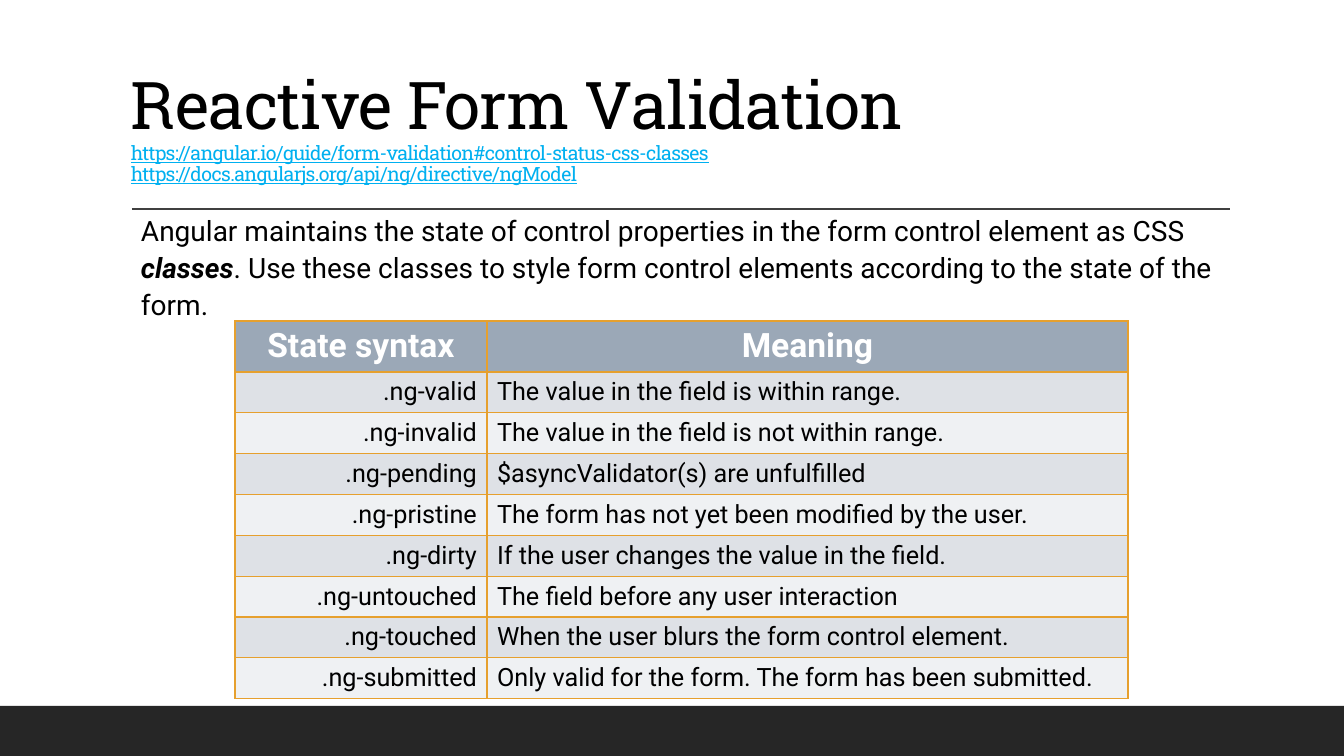
"""Build the Reactive Form Validation slide with its table of CSS state classes."""
import pptx
import pptx.dml.color
import pptx.enum.shapes
import pptx.enum.text
import pptx.oxml
import pptx.oxml.ns
import pptx.util
from dataclasses import dataclass

TITLE = "Reactive Form Validation"
LINKS = [
    "https://angular.io/guide/form-validation#control-status-css-classes",
    "https://docs.angularjs.org/api/ng/directive/ngModel",
]
INTRO = [
    ("Angular maintains the state of control properties in the form control element as CSS ", False),
    ("classes", True),
    (". Use these classes to style form control elements according to the state of the form.", False),
]
HEADER = ("State syntax", "Meaning")
STATES = [
    (".ng-valid", "The value in the field is within range."),
    (".ng-invalid", "The value in the field is not within range."),
    (".ng-pending", "$asyncValidator(s) are unfulfilled"),
    (".ng-pristine", "The form has not yet been modified by the user."),
    (".ng-dirty", "If the user changes the value in the field."),
    (".ng-untouched", "The field before any user interaction"),
    (".ng-touched", "When the user blurs the form control element."),
    (".ng-submitted", "Only valid for the form. The form has been submitted."),
]

SLIDE_W, SLIDE_H = 1344, 756
FOOTER_H = 50
RULE = (132, 209, 1230, 209)
TITLE_BOX = (121, 31, 1109, 160)
INTRO_BOX = (131, 208, 1099, 116)
TABLE_AT = (235, 321)
COL_W = (252, 641)
HEADER_H, BODY_H = 51, 327


@dataclass(frozen=True)
class Theme:
    """Fonts, colours and type sizes."""
    slab: str = "Roboto Slab"
    sans: str = "Roboto"
    text: str = "000000"
    link: str = "00B0F0"
    footer: str = "262626"
    rule: str = "404040"
    border: str = "E6A02E"
    head_fill: str = "9BA8B7"
    head_text: str = "FFFFFF"
    bands: tuple = ("DEE1E6", "EFF1F3")
    title_pt: int = 47
    link_pt: int = 14
    intro_pt: int = 20
    head_pt: int = 24
    cell_pt: int = 18


T = Theme()
ALIGN = pptx.enum.text.PP_ALIGN
ANCHOR = pptx.enum.text.MSO_ANCHOR


def px(n):
    """Turn px into EMU."""
    return pptx.util.Emu(round(n * 914400 / 100.8))


def rgb(color):
    """Turn a hex string into a colour."""
    return pptx.dml.color.RGBColor.from_string(color)


def style(font, name, size, color, bold=False):
    """Set the main properties of a font."""
    font.name, font.size, font.bold = name, pptx.util.Pt(size), bold
    font.color.rgb = rgb(color)


def add_text(s, box, anchor):
    """Add a wrapping text box and return its frame."""
    tf = s.shapes.add_textbox(*map(px, box)).text_frame
    tf.word_wrap, tf.vertical_anchor = True, anchor
    return tf


def add_footer_and_rule(s):
    """Add the dark footer band and the line under the title."""
    sp = s.shapes.add_shape(pptx.enum.shapes.MSO_SHAPE.RECTANGLE,
                            0, px(SLIDE_H - FOOTER_H), px(SLIDE_W), px(FOOTER_H))
    sp.shadow.inherit = False
    sp.fill.solid()
    sp.fill.fore_color.rgb = rgb(T.footer)
    sp.line.fill.background()
    line = s.shapes.add_connector(pptx.enum.shapes.MSO_CONNECTOR.STRAIGHT, *map(px, RULE))
    line.line.color.rgb = rgb(T.rule)
    line.line.width = pptx.util.Pt(1)
    pptx.oxml.ns.qn("a:effectLst")
    line._element.spPr.append(pptx.oxml.parse_xml(
        f'<a:effectLst {pptx.oxml.ns.nsdecls("a")}/>'))


def add_title(s):
    """Add the title with its two link lines."""
    p = add_text(s, TITLE_BOX, ANCHOR.BOTTOM).paragraphs[0]
    p.text = "\v".join([TITLE, *LINKS])
    p.line_spacing = 0.9
    for i, r in enumerate(p.runs):
        style(r.font, T.slab, T.link_pt if i else T.title_pt, T.link if i else T.text)
        r.font.underline = i > 0
        r.font._element.set("spc", "-50")


def add_intro(s):
    """Add the introductory paragraph."""
    tf = add_text(s, INTRO_BOX, ANCHOR.MIDDLE)
    tf.margin_left, tf.margin_right = px(10), 0
    p = tf.paragraphs[0]
    p.line_spacing, p.space_after = 1.1, pptx.util.Pt(2)
    for text, strong in INTRO:
        r = p.add_run()
        r.text = text
        style(r.font, T.sans, T.intro_pt, T.text, strong)
        r.font.italic = strong


def fill_cell(cell, text, fill, size, color, bold, align, anchor):
    """Fill, border and label one table cell."""
    tcPr = cell._tc.get_or_add_tcPr()
    for side in ("lnL", "lnR", "lnT", "lnB"):
        tcPr.append(pptx.oxml.parse_xml(
            f'<a:{side} {pptx.oxml.ns.nsdecls("a")} w="12700"><a:solidFill>'
            f'<a:srgbClr val="{T.border}"/></a:solidFill></a:{side}>'))
    cell.fill.solid()
    cell.fill.fore_color.rgb = rgb(fill)
    cell.vertical_anchor = anchor
    p = cell.text_frame.paragraphs[0]
    p.text, p.alignment = text, align
    style(p.runs[0].font, T.sans, size, color, bold)


def add_states(s):
    """Add the table of state classes."""
    rows = [HEADER, *STATES]
    table = s.shapes.add_table(len(rows), len(COL_W), *map(px, TABLE_AT),
                               px(sum(COL_W)), px(HEADER_H + BODY_H)).table
    for col, width in zip(table.columns, COL_W):
        col.width = px(width)
    for i, row in enumerate(rows):
        table.rows[i].height = px(BODY_H / len(STATES) if i else HEADER_H)
        for j, text in enumerate(row):
            if i == 0:
                look = (T.head_fill, T.head_pt, T.head_text, True, ALIGN.CENTER, ANCHOR.TOP)
            else:
                look = (T.bands[(i - 1) % 2], T.cell_pt, T.text, False,
                        ALIGN.LEFT if j else ALIGN.RIGHT, ANCHOR.MIDDLE)
            fill_cell(table.cell(i, j), text, *look)


def main():
    """Build and save the slide."""
    prs = pptx.Presentation()
    prs.slide_width, prs.slide_height = px(SLIDE_W), px(SLIDE_H)
    s = prs.slides.add_slide(prs.slide_layouts[6])
    add_footer_and_rule(s)
    add_title(s)
    add_intro(s)
    add_states(s)
    prs.save("out.pptx")


if __name__ == "__main__":
    main()
